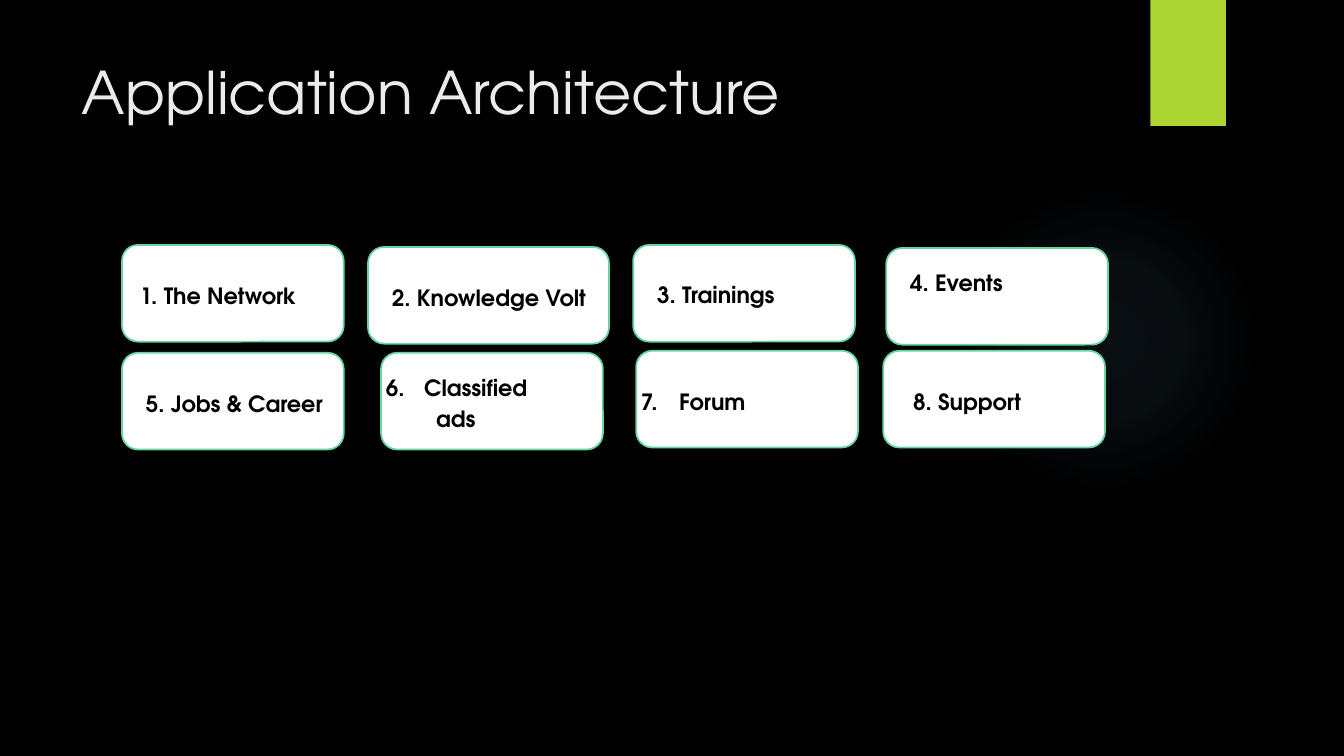
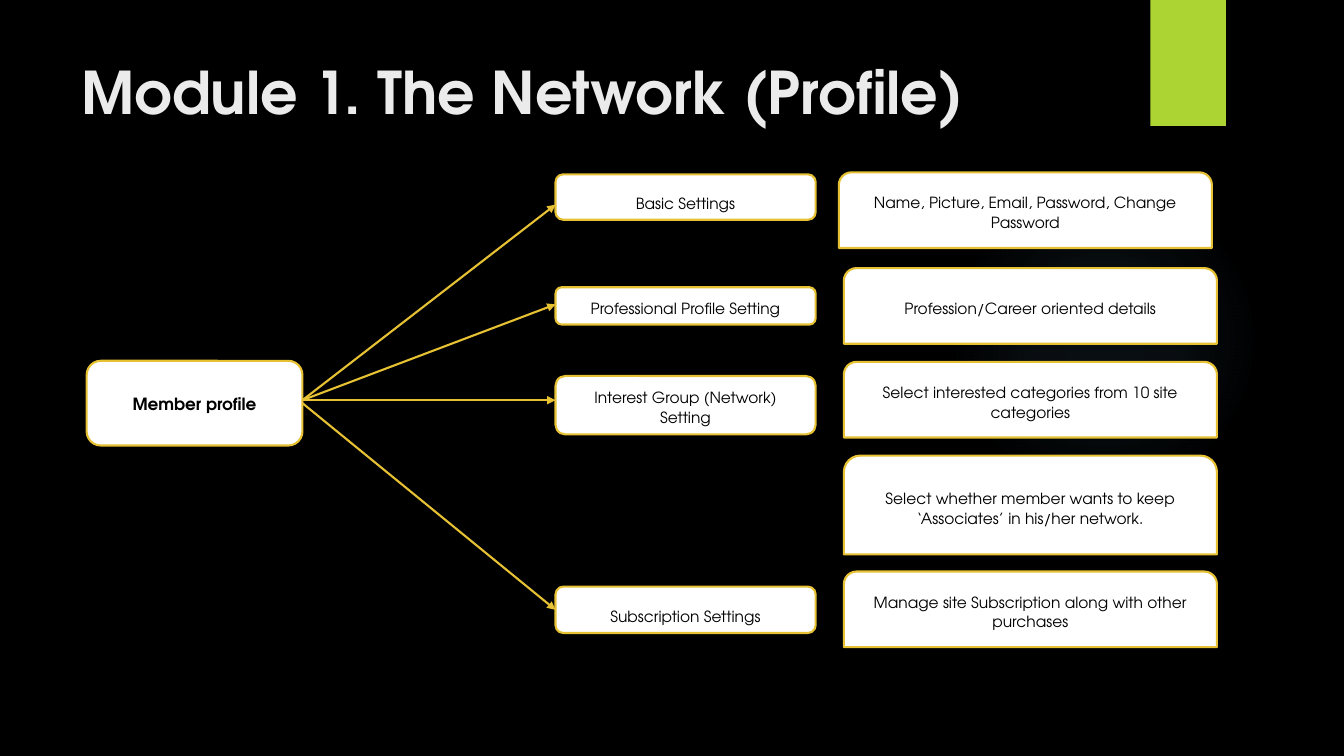
from lxml import etree
from pptx import Presentation
from pptx.dml.color import RGBColor
from pptx.enum.shapes import MSO_CONNECTOR, MSO_SHAPE
from pptx.enum.text import MSO_ANCHOR as ANCHOR, PP_ALIGN as ALIGN
from pptx.oxml import parse_xml
from pptx.oxml.ns import nsdecls, qn
from pptx.util import Inches, Pt

FONT = "TeX Gyre Adventor"
BLACK, WHITE, TITLE = "000000", "FFFFFF", "EBEBEB"
LIME, MINT, GOLD, GLOW = "ACD433", "65D6A0", "E6C133", "7AC4F0"

MODULE_W, MODULE_H = 2.2, 0.96
SETTING_X, SETTING_W = 5.51, 2.58
DETAIL_W = 3.7

# left, top, width, bottom inset, paragraphs
# paragraph: text, left margin, first-line indent, line spacing, list number
MODULES = [
    (1.21, 2.43, MODULE_W, 0.03, [("1. The Network", 0.38, -0.25, 1.15, None)]),
    (3.65, 2.45, 2.39, 0.03, [("2. Knowledge Volt", 0.44, -0.25, 1.15, None)]),
    (6.28, 2.43, MODULE_W, 0.03, [("3. Trainings", 0.19, 0, 1.07, None)]),
    (8.79, 2.46, MODULE_W, 0.34, [("4. Events", 0.44, -0.25, 1.15, None)]),
    (1.21, 3.5, MODULE_W, 0.03, [("5. Jobs & Career", 0.44, -0.25, 1.15, None)]),
    (3.78, 3.5, MODULE_W, 0.03, [("Classified", 0.38, -0.38, 1.15, 6),
                                 ("ads", 0.5, 0, 1.15, None)]),
    (6.31, 3.48, MODULE_W, 0.03, [("Forum", 0.38, -0.38, 1.15, 7)]),
    (8.76, 3.48, MODULE_W, 0.03, [("8. Support", 0.5, -0.25, 1.15, None)]),
]

# text, top, height, arrow start y, arrow end y
SETTINGS = [
    ("Basic Settings", 1.73, 0.45, 3.97, 2.03),
    ("Professional Profile Setting", 2.85, 0.37, 3.97, 3.02),
    ("Interest Group (Network) Setting", 3.73, 0.58, 3.97, 3.97),
    ("Subscription Settings", 5.82, 0.46, 4, 6.05),
]

# text, left, top, height
DETAILS = [
    ("Name, Picture, Email, Password, Change Password", 8.32, 1.71, 0.75),
    ("Profession/Career oriented details", 8.37, 2.66, 0.75),
    ("Select interested categories from 10 site categories", 8.37, 3.59, 0.75),
    ("Select whether member wants to keep ‘Associates’ in his/her network.",
     8.37, 4.52, 0.98),
    ("Manage site Subscription along with other purchases", 8.37, 5.67, 0.75),
]


def rgb(color):
    return RGBColor.from_string(color)


def add_run(p, text, size, color=BLACK, bold=False):
    r = p.add_run()
    r.text = text
    r.font.name, r.font.size, r.font.bold = FONT, Pt(size), bold
    r.font.color.rgb = rgb(color)


def add_box(slide, kind, at, fill, line=None, width=1.5):
    sp = slide.shapes.add_shape(kind, *map(Inches, at))
    sp.shadow.inherit = False
    sp.fill.solid()
    sp.fill.fore_color.rgb = rgb(fill)
    if line:
        sp.line.color.rgb = rgb(line)
        sp.line.width = Pt(width)
    else:
        sp.line.fill.background()
    return sp


def add_glow(slide):
    """Soft circle of light that fades out towards its edge."""
    sp = add_box(slide, MSO_SHAPE.OVAL, (9.41, 1.83, 3.08, 3.08), GLOW)
    stops = "".join(
        f'<a:gs pos="{pos * 1000}"><a:srgbClr val="{GLOW}">'
        f'<a:alpha val="{alpha * 1000}"/></a:srgbClr></a:gs>'
        for pos, alpha in ((0, 7), (36, 6), (69, 0)))
    grad = parse_xml(
        f'<a:gradFill {nsdecls("a")} rotWithShape="1"><a:gsLst>{stops}</a:gsLst>'
        '<a:path path="circle"><a:fillToRect l="50000" t="50000" r="50000" '
        'b="50000"/></a:path></a:gradFill>')
    props = sp.element.spPr
    props.replace(props.find(qn("a:solidFill")), grad)


def add_slide(prs, title, bold=False):
    """Slide with the shared background, glow, lime tab and title."""
    slide = prs.slides.add_slide(prs.slide_layouts[6])
    slide.background.fill.solid()
    slide.background.fill.fore_color.rgb = rgb(BLACK)
    add_glow(slide)
    add_box(slide, MSO_SHAPE.RECTANGLE, (11.41, 0, 0.75, 1.25), LIME)
    tf = slide.shapes.add_textbox(*map(Inches, (0.71, 0.5, 10.29, 1.53))).text_frame
    tf.word_wrap = True
    add_run(tf.paragraphs[0], title, 42, TITLE, bold)
    return slide


def add_module(slide, left, top, width, bottom_inset, lines):
    sp = add_box(slide, MSO_SHAPE.ROUNDED_RECTANGLE,
                 (left, top, width, MODULE_H), WHITE, MINT, 1.25)
    tf = sp.text_frame
    tf.word_wrap = True
    tf.vertical_anchor = ANCHOR.MIDDLE
    tf.margin_left = tf.margin_right = 0
    tf.margin_top, tf.margin_bottom = Inches(0.03), Inches(bottom_inset)
    for i, (text, margin, indent, spacing, number) in enumerate(lines):
        p = tf.add_paragraph() if i else tf.paragraphs[0]
        p.alignment, p.line_spacing = ALIGN.LEFT, spacing
        props = p._p.get_or_add_pPr()
        props.set("marL", str(Inches(margin)))
        props.set("indent", str(Inches(indent)))
        if number:
            etree.SubElement(props, qn("a:buFont"), typeface="+mj-lt")
            etree.SubElement(props, qn("a:buAutoNum"), type="arabicPeriod",
                             startAt=str(number))
        add_run(p, text, 16, bold=True)


def add_node(slide, kind, at, text, size=11, bold=False, anchor=ANCHOR.MIDDLE):
    """White box with a gold outline and centred text."""
    tf = add_box(slide, kind, at, WHITE, GOLD).text_frame
    tf.word_wrap = True
    tf.vertical_anchor = anchor
    p = tf.paragraphs[0]
    p.alignment, p.line_spacing, p.space_after = ALIGN.CENTER, 1.07, Pt(8)
    add_run(p, text, size, bold=bold)


def add_arrow(slide, x1, y1, x2, y2):
    cx = slide.shapes.add_connector(MSO_CONNECTOR.STRAIGHT,
                                    *map(Inches, (x1, y1, x2, y2)))
    cx.line.color.rgb = rgb(GOLD)
    cx.line.width = Pt(1.5)
    etree.SubElement(cx.line._get_or_add_ln(), qn("a:tailEnd"), type="triangle")
    etree.SubElement(cx._element.spPr, qn("a:effectLst"))


def build_architecture(prs):
    slide = add_slide(prs, "Application Architecture")
    for module in MODULES:
        add_module(slide, *module)


def build_profile(prs):
    slide = add_slide(prs, "Module 1. The Network (Profile)", bold=True)
    add_node(slide, MSO_SHAPE.ROUNDED_RECTANGLE, (0.86, 3.58, 2.14, 0.84),
             "Member profile", 12, bold=True)
    for text, top, height, start_y, end_y in SETTINGS:
        add_node(slide, MSO_SHAPE.ROUNDED_RECTANGLE,
                 (SETTING_X, top, SETTING_W, height), text, anchor=ANCHOR.BOTTOM)
        add_arrow(slide, 3, start_y, SETTING_X, end_y)
    for text, left, top, height in DETAILS:
        add_node(slide, MSO_SHAPE.ROUND_2_SAME_RECTANGLE,
                 (left, top, DETAIL_W, height), text)


def main():
    prs = Presentation()
    prs.slide_width, prs.slide_height = Inches(13.33), Inches(7.5)
    build_architecture(prs)
    build_profile(prs)
    prs.save("out.pptx")


if __name__ == "__main__":
    main()
